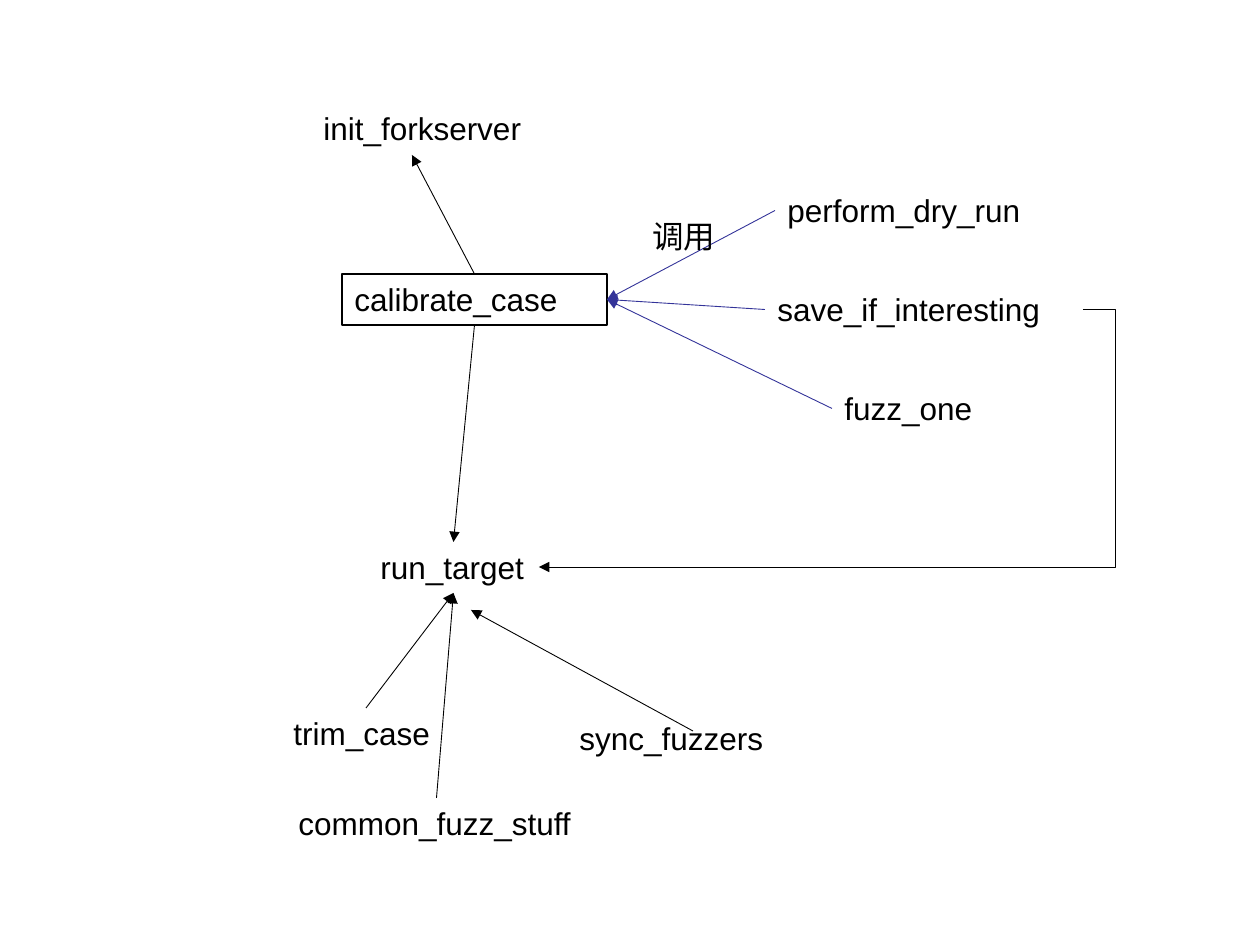
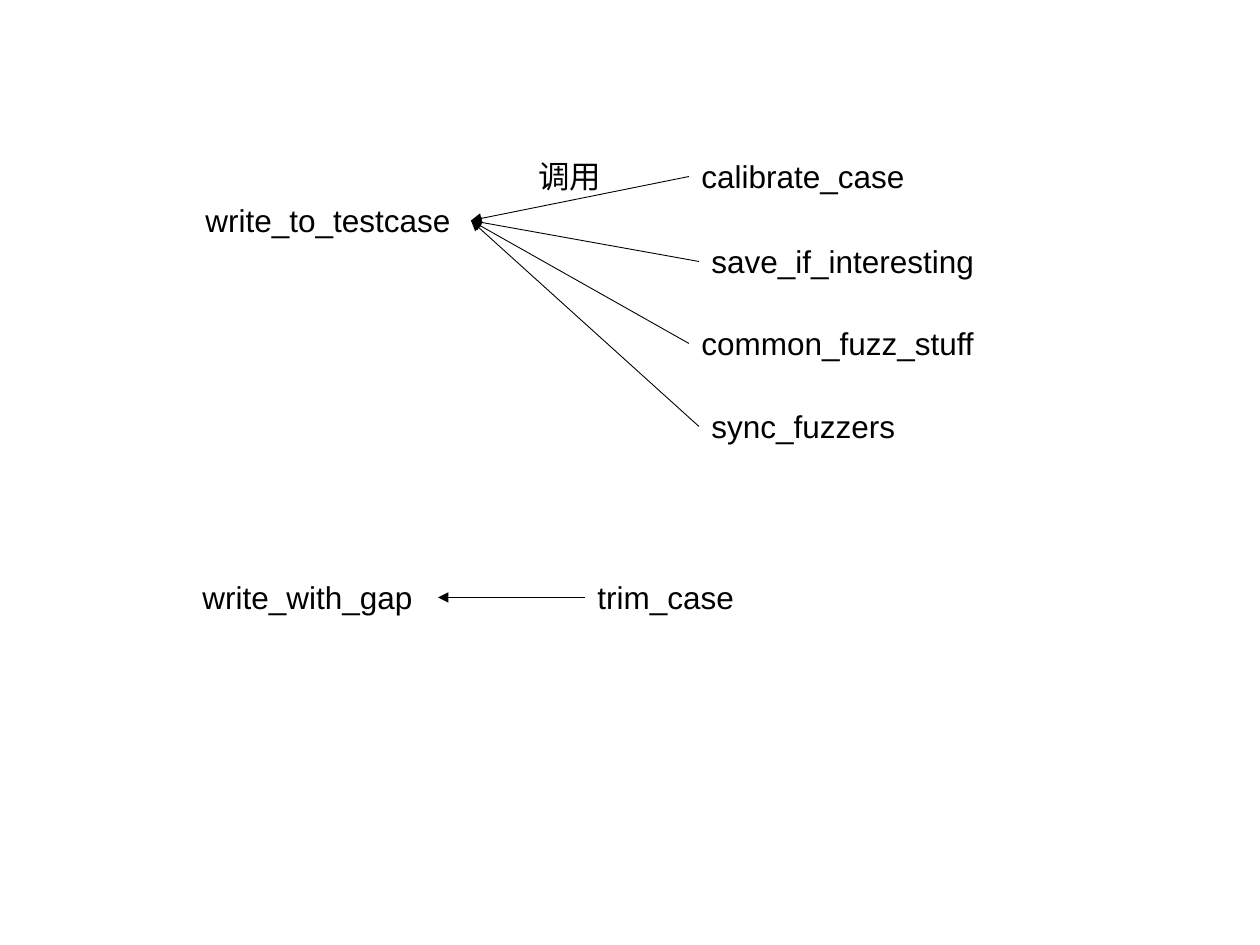
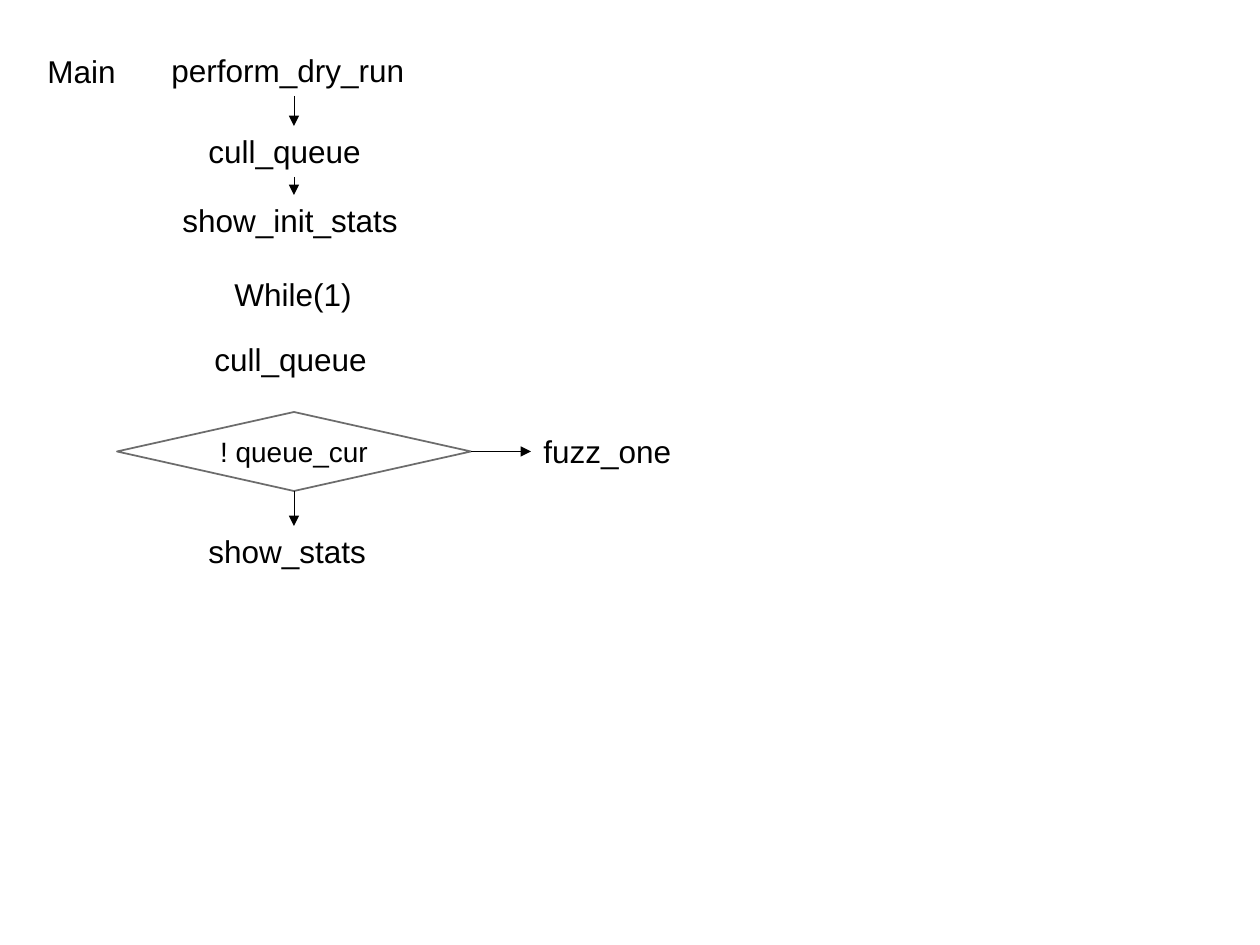
"""Build three call diagrams of a fuzzer: calibration, test case writing and the main loop."""
from pptx import Presentation
from pptx.dml.color import RGBColor
from pptx.enum.shapes import MSO_CONNECTOR as Connector, MSO_SHAPE as Preset
from pptx.enum.text import MSO_ANCHOR as Anchor, MSO_AUTO_SIZE as AutoSize, PP_ALIGN as Align
from pptx.oxml.ns import qn
from pptx.util import Inches, Pt

BLACK = RGBColor(0x00, 0x00, 0x00)
WHITE = RGBColor(0xFF, 0xFF, 0xFF)
INDIGO = RGBColor(0x33, 0x33, 0x99)
GRAY = RGBColor(0x6C, 0x6C, 0x6C)
FONT = "Arial"
PIXELS_PER_INCH = 126
LABEL_HEIGHT = 51
STEP_CENTER = 294
TOP, LEFT, BOTTOM, RIGHT = range(4)


def px(*lengths):
    """Turn pixel lengths into a list of EMU lengths."""
    return [round(Inches(length) / PIXELS_PER_INCH) for length in lengths]


def write_text(shape, text, size=18, align=Align.LEFT, anchor=Anchor.TOP, wrap=True):
    """Put one styled paragraph into a shape."""
    frame = shape.text_frame
    frame.word_wrap = wrap
    frame.vertical_anchor = anchor
    paragraph = frame.paragraphs[0]
    paragraph.text = text
    paragraph.alignment = align
    paragraph.font.name = FONT
    paragraph.font.size = Pt(size)
    paragraph.font.color.rgb = BLACK


def add_label(slide, text, left, top, width, wrap=True):
    """Add a function name as a text box."""
    label = slide.shapes.add_textbox(*px(left, top, width, LABEL_HEIGHT))
    write_text(label, text, wrap=wrap)
    label.text_frame.auto_size = AutoSize.SHAPE_TO_FIT_TEXT
    return label


def add_step(slide, text, top, width, wrap=True):
    """Add a label centred on the column of steps."""
    return add_label(slide, text, STEP_CENTER - width // 2, top, width, wrap)


def add_outlined(slide, preset, bounds, color, weight):
    """Add a preset shape with an outline and no fill."""
    shape = slide.shapes.add_shape(preset, *px(*bounds))
    shape.shadow.inherit = False
    shape.fill.background()
    shape.line.color.rgb = color
    shape.line.width = Pt(weight)
    return shape


def add_arrow(slide, start=(0, 0), end=(0, 0), color=BLACK, kind=Connector.STRAIGHT):
    """Add a thin connector with an arrowhead at its end."""
    arrow = slide.shapes.add_connector(kind, *px(*start, *end))
    arrow.line.color.rgb = color
    arrow.line.width = Pt(0.5)
    outline = arrow.line._get_or_add_ln()
    outline.append(outline.makeelement(qn("a:tailEnd"), {"type": "triangle"}))
    properties = arrow._element.spPr
    properties.append(properties.makeelement(qn("a:effectLst"), {}))
    return arrow


def join(slide, source, source_side, target, target_side, color=BLACK):
    """Connect the middles of two shape sides with an arrow."""
    arrow = add_arrow(slide, color=color)
    arrow.begin_connect(source, source_side)
    arrow.end_connect(target, target_side)


def add_elbow(slide, start, end, bend):
    """Add an elbow arrow that turns at a fraction of its width."""
    elbow = add_arrow(slide, start, end, kind=Connector.ELBOW)
    geometry = elbow._element.spPr.find(qn("a:prstGeom"))
    guides = geometry.find(qn("a:avLst"))
    if guides is None:
        guides = geometry.makeelement(qn("a:avLst"), {})
        geometry.append(guides)
    formula = f"val {round(bend * 100000)}"
    guides.append(guides.makeelement(qn("a:gd"), {"name": "adj1", "fmla": formula}))


def build_calibration(slide):
    """Show what calls calibrate_case and run_target."""
    calibrate = add_outlined(slide, Preset.RECTANGLE, (342, 274, 265, LABEL_HEIGHT), BLACK, 0.75)
    write_text(calibrate, "calibrate_case")
    for name, left, top, width, wrap in (
        ("perform_dry_run", 775, 185, 268, True),
        ("save_if_interesting", 765, 284, 318, True),
        ("fuzz_one", 832, 383, 156, False),
    ):
        caller = add_label(slide, name, left, top, width, wrap)
        join(slide, caller, LEFT, calibrate, RIGHT, INDIGO)

    run_target = add_label(slide, "run_target", 368, 542, 171, wrap=False)
    join(slide, calibrate, BOTTOM, run_target, TOP)
    add_elbow(slide, (1083, 309), (539, 567), -0.06)
    for name, left, top, width in (
        ("trim_case", 281, 708, 170),
        ("common_fuzz_stuff", 286, 798, 301),
    ):
        caller = add_label(slide, name, left, top, width)
        join(slide, caller, TOP, run_target, BOTTOM)
    add_label(slide, "sync_fuzzers", 567, 713, 218)
    add_arrow(slide, (693, 731), (471, 610))

    add_label(slide, "init_forkserver", 311, 103, 226, wrap=False)
    add_arrow(slide, (474, 274), (412, 155)).begin_connect(calibrate, TOP)
    add_label(slide, "调用", 640, 211, 90, wrap=False)


def build_writing(slide):
    """Show what calls the two functions that write test cases."""
    write_to_testcase = add_label(slide, "write_to_testcase", 193, 195, 278)
    write_with_gap = add_label(slide, "write_with_gap", 190, 572, 248)
    for name, left, top, width, target in (
        ("calibrate_case", 689, 151, 228, write_to_testcase),
        ("save_if_interesting", 699, 236, 295, write_to_testcase),
        ("common_fuzz_stuff", 689, 318, 305, write_to_testcase),
        ("sync_fuzzers", 699, 401, 228, write_to_testcase),
        ("trim_case", 585, 572, 205, write_with_gap),
    ):
        caller = add_label(slide, name, left, top, width)
        join(slide, caller, LEFT, target, RIGHT)
    add_label(slide, "调用", 526, 151, 90, wrap=False)


def build_main_loop(slide):
    """Show the steps of the main function."""
    add_label(slide, "Main", 35, 46, 98, wrap=False)
    dry_run = add_step(slide, "perform_dry_run", 45, 270)
    cull_queue = add_step(slide, "cull_queue", 126, 196)
    init_stats = add_step(slide, "show_init_stats", 195, 248)
    join(slide, dry_run, BOTTOM, cull_queue, TOP)
    join(slide, cull_queue, BOTTOM, init_stats, TOP)

    add_step(slide, "While(1)", 269, 144, wrap=False)
    add_step(slide, "cull_queue", 334, 184)
    decision = add_outlined(slide, Preset.DIAMOND, (STEP_CENTER - 177, 412, 354, 79), GRAY, 1)
    decision.fill.solid()
    decision.fill.fore_color.rgb = WHITE
    write_text(decision, "! queue_cur", 16, Align.CENTER, Anchor.MIDDLE)
    stats = add_step(slide, "show_stats", 526, 196)
    fuzz_one = add_label(slide, "fuzz_one", 531, 426, 159)
    join(slide, decision, BOTTOM, stats, TOP)
    join(slide, decision, RIGHT, fuzz_one, LEFT)


def main():
    """Build and save the presentation."""
    presentation = Presentation()
    presentation.slide_width = Inches(10)
    presentation.slide_height = Inches(7.5)
    blank = presentation.slide_layouts[6]
    for build in (build_calibration, build_writing, build_main_loop):
        build(presentation.slides.add_slide(blank))
    presentation.save("out.pptx")


if __name__ == "__main__":
    main()
